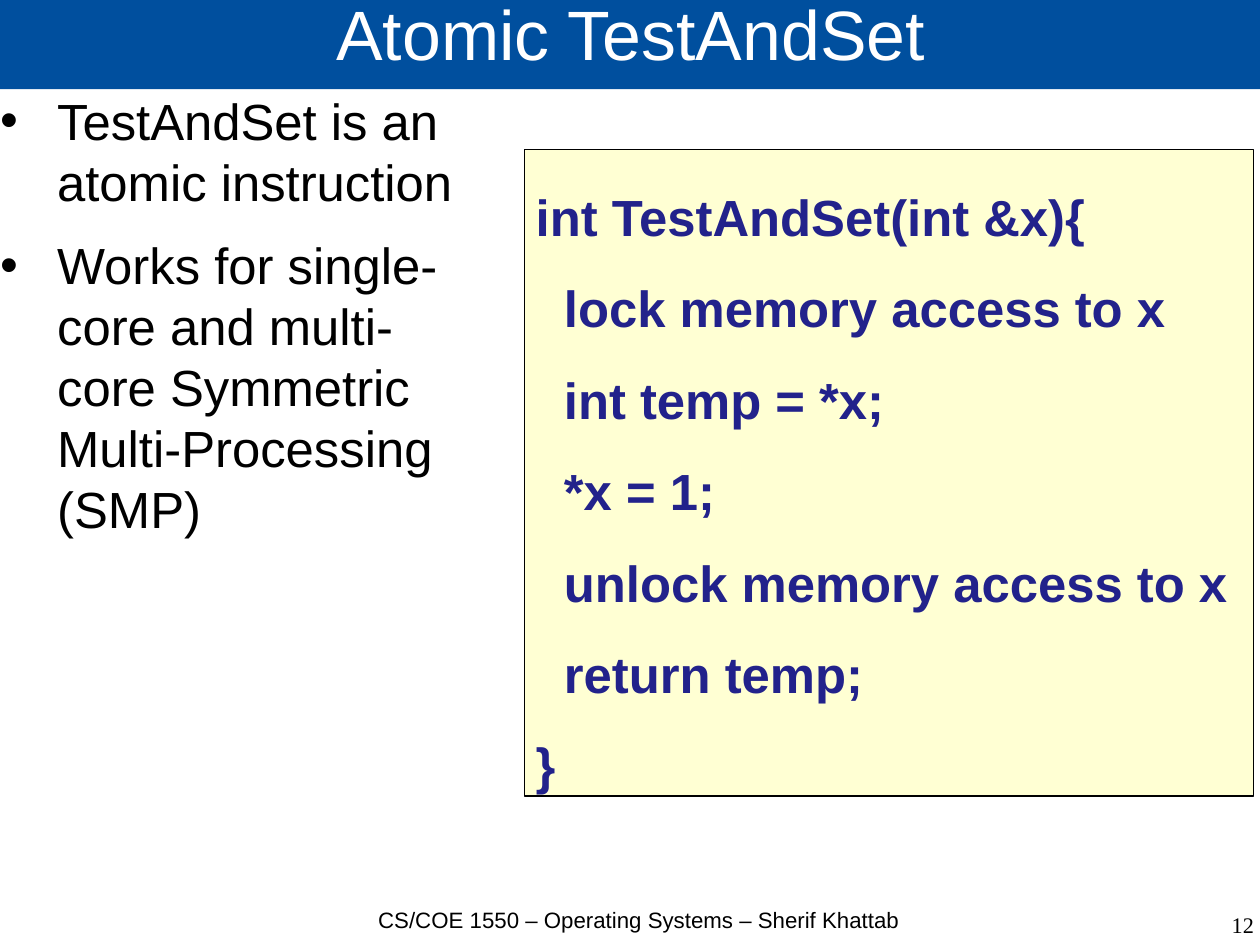
from dataclasses import dataclass

from lxml.etree import SubElement
from pptx import Presentation
from pptx.dml.color import RGBColor
from pptx.enum.shapes import MSO_SHAPE
from pptx.enum.text import MSO_ANCHOR, MSO_AUTO_SIZE, PP_ALIGN
from pptx.oxml.ns import qn
from pptx.util import Pt


@dataclass(frozen=True)
class Theme:
    sans: str = "Arial"
    serif: str = "Times New Roman"
    title_size: int = 44
    text_size: int = 32
    footer_size: int = 14
    black: RGBColor = RGBColor(0, 0, 0)
    white: RGBColor = RGBColor(255, 255, 255)
    band: RGBColor = RGBColor(0x00, 0x4F, 0x9E)
    code_fill: RGBColor = RGBColor(0xFF, 0xFF, 0xD3)
    code_text: RGBColor = RGBColor(0x22, 0x22, 0x8B)


THEME = Theme()

BULLETS = [
    "TestAndSet is an atomic instruction",
    "Works for single-core and multi-core Symmetric Multi-Processing (SMP)",
]
CODE = [
    (0, "int TestAndSet(int &x){"),
    (1, "lock memory access to x"),
    (1, "int temp = *x;"),
    (1, "*x = 1;"),
    (1, "unlock memory access to x"),
    (1, "return temp;"),
    (0, "}"),
]


def set_all(target, values):
    for name, value in values.items():
        setattr(target, name, value)


def place(sp, left, top, width, height):
    set_all(sp, dict(left=Pt(left), top=Pt(top), width=Pt(width), height=Pt(height)))


def setup_frame(tf, margin_x=0, margin_y=0, **values):
    set_all(tf, dict(
        word_wrap=True, auto_size=MSO_AUTO_SIZE.NONE, vertical_anchor=MSO_ANCHOR.TOP,
        margin_left=Pt(margin_x), margin_right=Pt(margin_x),
        margin_top=Pt(margin_y), margin_bottom=Pt(margin_y)) | values)


def write_lines(tf, lines, size, color, font=THEME.sans, bold=False, **values):
    for i, line in enumerate(lines):
        p = tf.add_paragraph() if i else tf.paragraphs[0]
        set_all(p, dict(space_before=Pt(0)) | values)
        r = p.add_run()
        r.text = line
        set_all(r.font, dict(name=font, size=Pt(size), bold=bold))
        r.font.color.rgb = color


def set_indent(p, left, first=0):
    pPr = p._p.get_or_add_pPr()
    pPr.set("marL", str(Pt(left)))
    pPr.set("indent", str(Pt(first)))
    return pPr


def add_bullet(p):
    pPr = set_indent(p, 36, -36)
    color = SubElement(pPr, qn("a:buClr"))
    SubElement(color, qn("a:srgbClr"), val=str(THEME.black))
    SubElement(pPr, qn("a:buFont"), typeface=THEME.sans)
    SubElement(pPr, qn("a:buChar"), char="•")


def fill_title(sp, text):
    place(sp, 0, -1.8, 795, 58)
    sp.fill.solid()
    sp.fill.fore_color.rgb = THEME.band
    setup_frame(sp.text_frame, vertical_anchor=MSO_ANCHOR.MIDDLE)
    write_lines(sp.text_frame, [text], THEME.title_size, THEME.white,
                alignment=PP_ALIGN.CENTER, line_spacing=0.69)


def fill_body(sp, items):
    place(sp, 0, 56.4, 306.5, 517)
    setup_frame(sp.text_frame)
    write_lines(sp.text_frame, items, THEME.text_size, THEME.black, space_after=Pt(14.2))
    for p in sp.text_frame.paragraphs:
        add_bullet(p)


def add_footer(s, text, box, font, alignment):
    tf = s.shapes.add_textbox(*map(Pt, box)).text_frame
    setup_frame(tf)
    write_lines(tf, [text], THEME.footer_size, THEME.black, font,
                alignment=alignment, line_spacing=0.96)


def add_code_box(s, lines):
    sp = s.shapes.add_shape(MSO_SHAPE.RECTANGLE, Pt(330.4), Pt(94.1), Pt(459.2), Pt(407.3))
    sp.shadow.inherit = False
    sp.fill.solid()
    sp.fill.fore_color.rgb = THEME.code_fill
    sp.line.color.rgb = THEME.black
    sp.line.width = Pt(0.75)
    tf = sp.text_frame
    setup_frame(tf, 7.2, 3.6, auto_size=MSO_AUTO_SIZE.SHAPE_TO_FIT_TEXT)
    write_lines(tf, [text for _, text in lines], THEME.text_size, THEME.code_text,
                bold=True, alignment=PP_ALIGN.LEFT, line_spacing=1.5)
    for p, (level, _) in zip(tf.paragraphs, lines):
        set_indent(p, 17.8 * level)


def main():
    prs = Presentation()
    set_all(prs, dict(slide_width=Pt(793.7), slide_height=Pt(595.28)))
    s = prs.slides.add_slide(prs.slide_layouts[1])
    fill_title(s.shapes.title, "Atomic TestAndSet")
    fill_body(s.placeholders[1], BULLETS)
    add_footer(s, "CS/COE 1550 – Operating Systems – Sherif Khattab",
               (221, 571.7, 363, 39.6), THEME.sans, PP_ALIGN.CENTER)
    add_footer(s, "12", (607.7, 575.3, 182.2, 39.6), THEME.serif, PP_ALIGN.RIGHT)
    add_code_box(s, CODE)
    prs.save("out.pptx")


if __name__ == "__main__":
    main()
